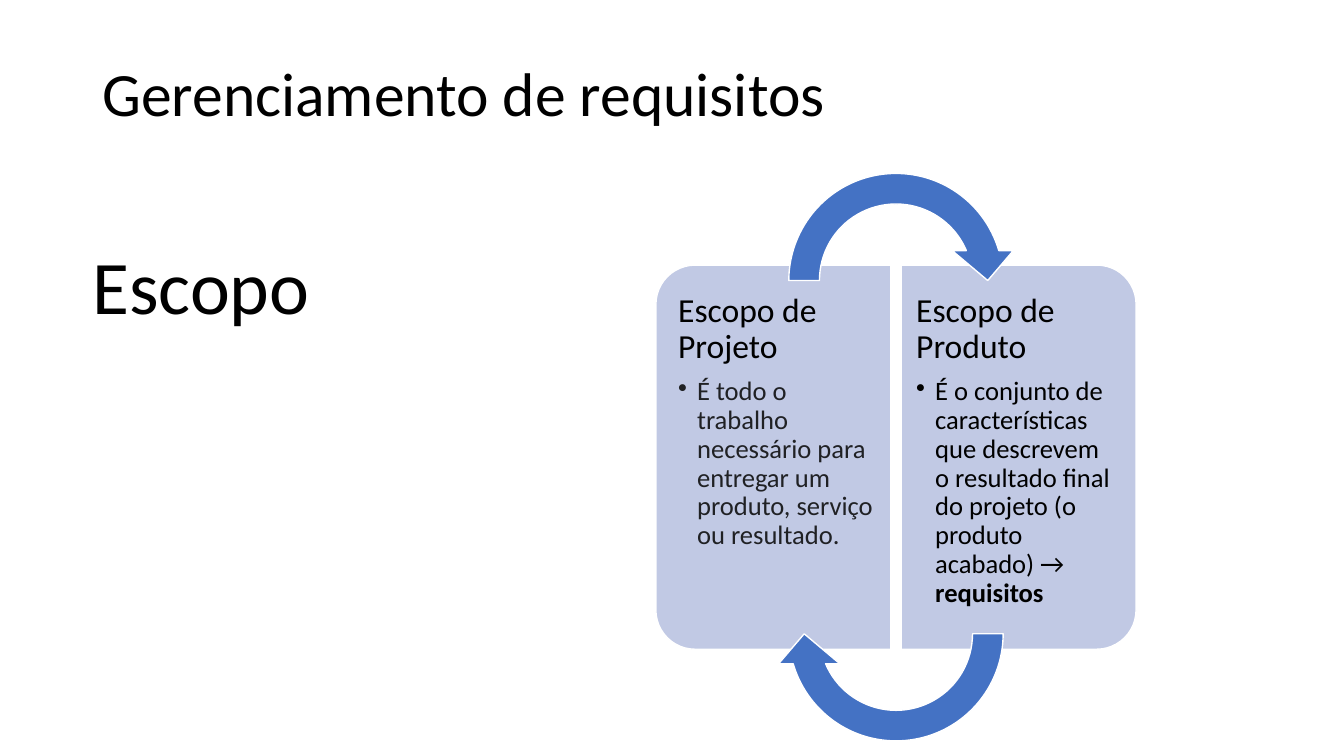
from lxml import etree
from pptx import Presentation
from pptx.dml.color import RGBColor
from pptx.enum import shapes, text
from pptx.oxml import ns
from pptx.util import Cm, Pt

TITLE = "Gerenciamento de requisitos"
TOPIC = "Escopo"
# heading, body runs (wording, bold), body colour
SCOPES = [
    ("Escopo de Projeto",
     [("É todo o trabalho necessário para entregar um produto, serviço ou resultado.", False)],
     "202124"),
    ("Escopo de Produto",
     [("É o conjunto de características que descrevem o resultado final do projeto "
       "(o produto acabado) → ", False), ("requisitos", True)],
     "000000"),
]
FONT = "Calibri"
BLACK, WHITE, PANEL_FILL, ARROW_FILL = "000000", "FFFFFF", "C1C9E4", "4472C4"

# Geometry in centimetres, mirrored about the centre of the cycle
CENTER_X, CENTER_Y = 22.58, 11.52
PANEL_LENGTH, PANEL_WIDTH, PANEL_OFFSET = 9.68, 5.92, 3.09
TEXT_WIDTH, TEXT_HEIGHT, TEXT_GAP = 5.61, 9.1, 0.13
ARROW_SIZE, ARROW_OFFSET = 6.17, 4.45
INSET_OUTER, INSET_INNER, INSET_TOP = 0.25, 0.38, 0.43
BULLET_INDENT = 0.48


def color(hex_code):
    return RGBColor.from_string(hex_code)


def style(paragraph, size, hex_code, spacing=None, after=None):
    paragraph.font.name = FONT
    paragraph.font.size = Pt(size)
    paragraph.font.color.rgb = color(hex_code)
    paragraph.line_spacing = spacing
    if after is not None:
        paragraph.space_after = Pt(after)


def add_bullet(paragraph):
    properties = paragraph._p.get_or_add_pPr()
    properties.set("marL", str(Cm(BULLET_INDENT)))
    properties.set("indent", str(-Cm(BULLET_INDENT)))
    bullet = etree.Element(ns.qn("a:buChar"), char="•")
    properties.find(ns.qn("a:defRPr")).addprevious(bullet)


def add_box(left, top, width, height):
    box = slide.shapes.add_textbox(Cm(left), Cm(top), Cm(width), Cm(height))
    box.text_frame.word_wrap = True
    return box.text_frame


def add_part(kind, center_x, center_y, width, height, rotation, fill, adjustments):
    part = slide.shapes.add_shape(kind, Cm(center_x - width / 2), Cm(center_y - height / 2),
                                  Cm(width), Cm(height))
    part.rotation = rotation
    part.shadow.inherit = False
    part.fill.solid()
    part.fill.fore_color.rgb = color(fill)
    part.line.color.rgb = color(WHITE)
    part.line.width = Pt(1)
    for index, value in enumerate(adjustments):
        part.adjustments[index] = value


deck = Presentation()
deck.slide_width, deck.slide_height = Cm(33.87), Cm(19.05)
slide = deck.slides.add_slide(deck.slide_layouts[6])

# Title and topic
title = add_box(2.33, 1.02, 29.21, 2.84)
title.vertical_anchor = text.MSO_ANCHOR.MIDDLE
title.text = TITLE
style(title.paragraphs[0], 44, BLACK, 0.9)

topic = add_box(2.08, 5.89, 6.2, 2.57)
topic.text = TOPIC
style(topic.paragraphs[0], 54, BLACK)

# Two half panels, each with its definition
for side, (heading, body_runs, body_color) in zip((-1, 1), SCOPES):
    add_part(shapes.MSO_SHAPE.ROUND_2_SAME_RECTANGLE, CENTER_X + side * PANEL_OFFSET, CENTER_Y,
             PANEL_LENGTH, PANEL_WIDTH, side * 90 % 360, PANEL_FILL, (0.167, 0))

    text_center = CENTER_X + side * (TEXT_GAP + TEXT_WIDTH / 2)
    definition = add_box(text_center - TEXT_WIDTH / 2, CENTER_Y - TEXT_HEIGHT / 2,
                         TEXT_WIDTH, TEXT_HEIGHT)
    insets = (INSET_OUTER, INSET_INNER)[::-side]
    definition.margin_left, definition.margin_right = map(Cm, insets)
    definition.margin_top = definition.margin_bottom = Cm(INSET_TOP)
    definition.text = heading
    style(definition.paragraphs[0], 24, BLACK, 0.9, 8.4)

    body = definition.add_paragraph()
    for wording, bold in body_runs:
        run = body.add_run()
        run.text = wording
        run.font.bold = bold
    style(body, 19, body_color, 0.9, 2.85)
    add_bullet(body)

# Arrows of the cycle, above and below
for side, rotation in ((-1, 0), (1, 180)):
    add_part(shapes.MSO_SHAPE.CIRCULAR_ARROW, CENTER_X, CENTER_Y + side * ARROW_OFFSET,
             ARROW_SIZE, ARROW_SIZE, rotation, ARROW_FILL,
             (0.125, 11.42, 204.58, 108, 0.125))

deck.save("out.pptx")
